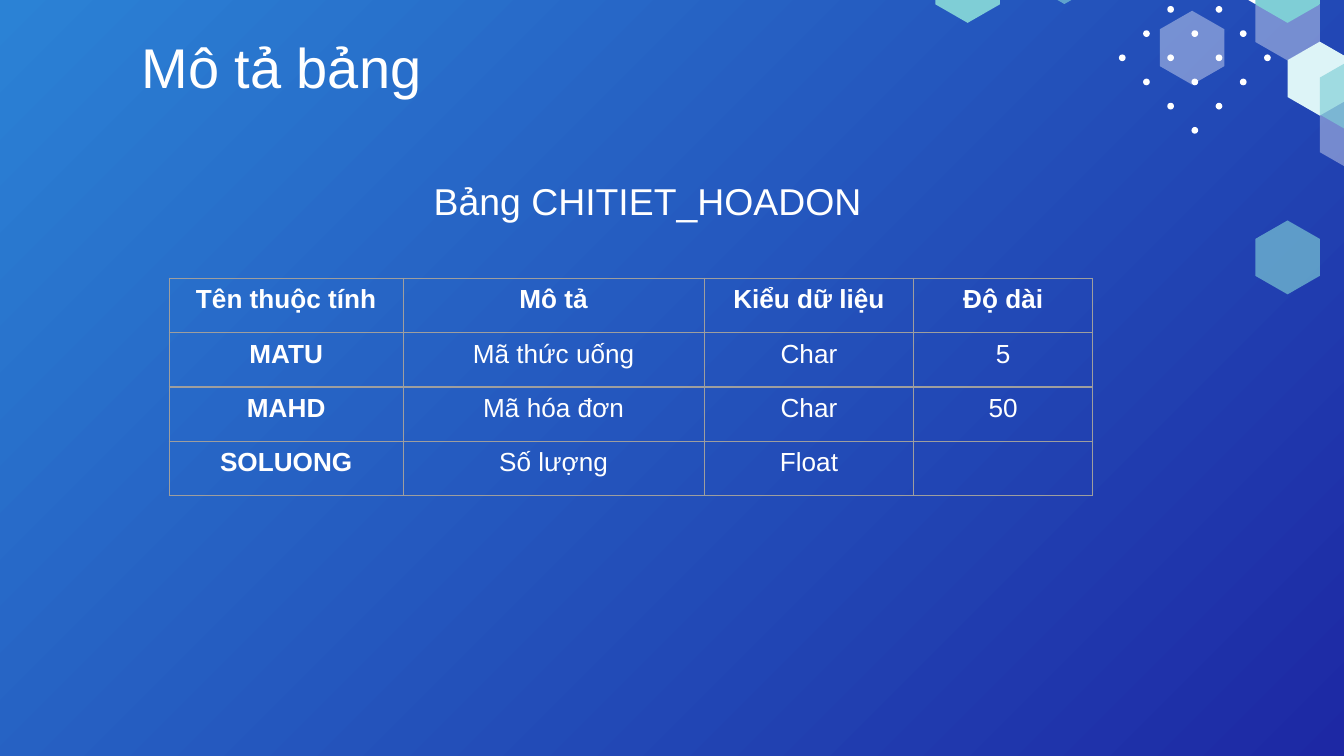
from lxml import etree
from pptx import Presentation
from pptx.dml.color import RGBColor
from pptx.enum import shapes as kinds, text as txt
from pptx.oxml import ns
from pptx.util import Inches, Pt

# Content
TITLE = "Mô tả bảng"
HEAD = "Bảng CHITIET_HOADON"
ROWS = [
    ("Tên thuộc tính", "Mô tả", "Kiểu dữ liệu", "Độ dài"),
    ("MATU", "Mã thức uống", "Char", "5"),
    ("MAHD", "Mã hóa đơn", "Char", "50"),
    ("SOLUONG", "Số lượng", "Float", ""),
]
COLS = [1.74, 2.24, 1.56, 1.33]
WHITE, TEAL, PALE, GREY = "FFFFFF", "7FCED6", "DDF4F7", "9E9E9E"

# Dot rows from the bottom up: number of dots in each
DOTS = [1, 2, 3, 4, 3, 2]
DOT, STEP = 0.05, 0.18

# Hexagons: left, top, colour, opacity in percent
HEX_W, HEX_H = 0.48, 0.55
HEXES = [
    (9.34, -0.1, WHITE, 38), (9.1, -0.52, WHITE, 100),
    (7.68, -0.52, TEAL, 65), (9.58, 0.31, PALE, 100),
    (9.82, 0.72, WHITE, 38), (8.63, 0.08, WHITE, 38),
    (9.34, -0.38, TEAL, 100), (6.96, -0.38, TEAL, 100),
    (9.82, 0.44, TEAL, 65), (9.34, 1.64, TEAL, 65),
]


def paint(part, color, alpha=100):
    """Fill a shape with a solid colour."""
    part.fill.solid()
    part.fill.fore_color.rgb = RGBColor.from_string(color)
    if alpha < 100:
        tone = part.fill._xPr.find(".//" + ns.qn("a:srgbClr"))
        etree.SubElement(tone, ns.qn("a:alpha"), val=str(alpha * 1000))


def write(frame, words, size, bold=False):
    frame.text = words
    para = frame.paragraphs[0]
    para.alignment = txt.PP_ALIGN.CENTER
    for run in para.runs:
        font = run.font
        font.name, font.size, font.bold = "Arial", Pt(size), bold
        font.color.rgb = RGBColor.from_string(WHITE)


def head(shape, box, words, size):
    """Place a heading that sits on the bottom of its box."""
    shape.left, shape.top, shape.width, shape.height = map(Inches, box)
    frame = shape.text_frame
    frame.word_wrap = True
    frame.auto_size = txt.MSO_AUTO_SIZE.NONE
    frame.vertical_anchor = txt.MSO_ANCHOR.BOTTOM
    frame.margin_left = frame.margin_right = Inches(0.1)
    frame.margin_top = frame.margin_bottom = Inches(0.1)
    write(frame, words, size)


def border(cell):
    props = cell._tc.get_or_add_tcPr()
    for i, side in enumerate(("lnL", "lnR", "lnT", "lnB")):
        line = etree.Element(ns.qn("a:" + side), w=str(Pt(0.75)))
        fill = etree.SubElement(line, ns.qn("a:solidFill"))
        etree.SubElement(fill, ns.qn("a:srgbClr"), val=GREY)
        props.insert(i, line)


# A 16:9 slide
prs = Presentation()
prs.slide_width = Inches(10)
prs.slide_height = prs.slide_width * 9 // 16
slide = prs.slides.add_slide(prs.slide_layouts[5])
items = slide.shapes

# Background
back = slide.background.fill
back.gradient()
back.gradient_angle = 315
for stop, color in zip(back.gradient_stops, ("2B82D5", "1D28A4")):
    stop.color.rgb = RGBColor.from_string(color)

# Diamond of dots
for i, count in enumerate(DOTS):
    y = 0.97 - i * STEP
    for j in range(count):
        x = 8.89 + (2 * j - count + 1) * STEP
        dot = items.add_shape(kinds.MSO_SHAPE.OVAL, Inches(x - DOT / 2),
                              Inches(y - DOT / 2), Inches(DOT), Inches(DOT))
        paint(dot, WHITE)
        dot.line.fill.background()
        dot.shadow.inherit = False

# Hexagons
for x, y, color, alpha in HEXES:
    mid, right = x + HEX_W / 2, x + HEX_W
    high, low = y + HEX_H / 4, y + HEX_H * 3 / 4
    pts = [(right, high), (right, low), (mid, y + HEX_H), (x, low), (x, high)]
    pen = items.build_freeform(Inches(mid), Inches(y))
    pen.add_line_segments([(Inches(a), Inches(b)) for a, b in pts])
    tile = pen.convert_to_shape()
    paint(tile, color, alpha)
    tile.line.fill.background()
    tile.shadow.inherit = False

# Headings
head(items.title, (0.49, 0.22, 3.21, 0.62), TITLE, 30)
label = items.add_textbox(0, 0, 0, 0)
head(label, (1.92, 1.14, 5.8, 0.62), HEAD, 20)

# Table
table = items.add_table(len(ROWS), len(COLS), Inches(1.26), Inches(2.07),
                        Inches(sum(COLS)), Inches(1.62)).table
table.first_row = table.horz_banding = False
for col, width in zip(table.columns, COLS):
    col.width = Inches(width)
for i, row in enumerate(ROWS):
    for j, words in enumerate(row):
        cell = table.cell(i, j)
        cell.fill.background()
        border(cell)
        write(cell.text_frame, words, 14, bold=i == 0 or j == 0)

prs.save("out.pptx")
